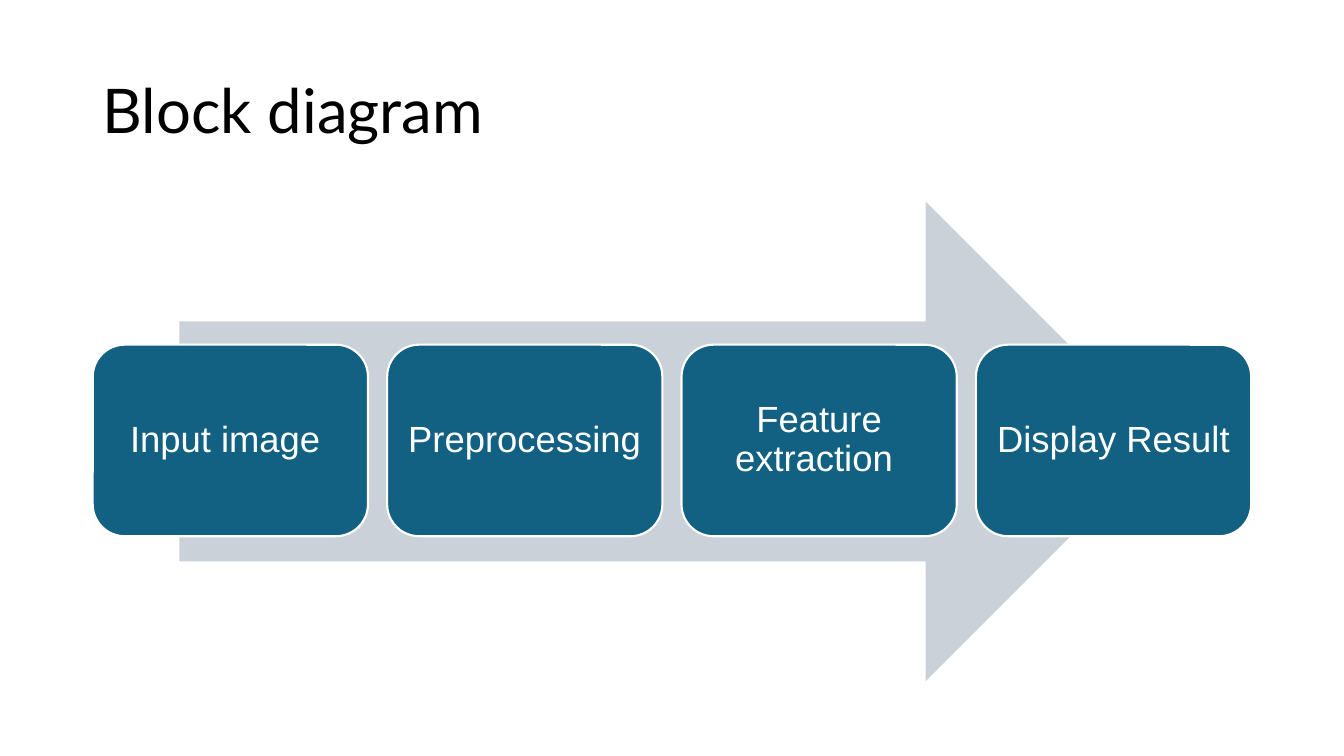
from pptx import Presentation
from pptx.dml.color import RGBColor
from pptx.enum.shapes import MSO_SHAPE
from pptx.enum.text import MSO_ANCHOR, PP_ALIGN
from pptx.util import Pt

RIGHT_ARROW = MSO_SHAPE.RIGHT_ARROW
ROUNDED_RECTANGLE = MSO_SHAPE.ROUNDED_RECTANGLE
MIDDLE = MSO_ANCHOR.MIDDLE
LEFT, CENTER = PP_ALIGN.LEFT, PP_ALIGN.CENTER

EMU_PER_PX = 9144
COLORS = {"title": "000000", "arrow": "CAD1D8", "block": "126082", "white": "FFFFFF"}
STEPS = ["Input image ", "Preprocessing ", "Feature extraction ", "Display Result"]
BLOCK_LEFT, BLOCK_TOP, BLOCK_WIDTH, BLOCK_HEIGHT, BLOCK_GAP = 92, 342, 273, 190, 19


def px(length):
    return length * EMU_PER_PX


def color(name):
    return RGBColor.from_string(COLORS[name])


def write_text(shape, text, *, font, size, ink, align, inset_x, inset_y):
    frame = shape.text_frame
    frame.word_wrap = True
    frame.vertical_anchor = MIDDLE
    frame.margin_left = frame.margin_right = px(inset_x)
    frame.margin_top = frame.margin_bottom = px(inset_y)
    paragraph = frame.paragraphs[0]
    paragraph.alignment = align
    paragraph.line_spacing = 0.9
    run = paragraph.add_run()
    run.text = text
    run.font.name = font
    run.font.size = Pt(size)
    run.font.color.rgb = color(ink)


def add_title(slide, text):
    box = slide.shapes.add_textbox(px(92), px(40), px(1150), px(145))
    write_text(box, text, font="Lato", size=44, ink="title", align=LEFT,
               inset_x=10, inset_y=5)


def add_filled_shape(slide, kind, left, top, width, height, fill):
    shape = slide.shapes.add_shape(kind, px(left), px(top), px(width), px(height))
    shape.shadow.inherit = False
    shape.fill.solid()
    shape.fill.fore_color.rgb = color(fill)
    shape.line.fill.background()
    return shape


def add_block(slide, left, text):
    block = add_filled_shape(slide, ROUNDED_RECTANGLE, left, BLOCK_TOP,
                             BLOCK_WIDTH, BLOCK_HEIGHT, "block")
    block.adjustments[0] = 0.167
    block.line.color.rgb = color("white")
    block.line.width = Pt(1.5)
    write_text(block, text, font="Arial", size=26, ink="white", align=CENTER,
               inset_x=11, inset_y=11)


def main():
    presentation = Presentation()
    presentation.slide_width = px(1333)
    presentation.slide_height = px(750)
    slide = presentation.slides.add_slide(presentation.slide_layouts[6])
    add_title(slide, "Block diagram")
    add_filled_shape(slide, RIGHT_ARROW, 178, 200, 978, 476, "arrow")
    for index, step in enumerate(STEPS):
        add_block(slide, BLOCK_LEFT + index * (BLOCK_WIDTH + BLOCK_GAP), step)
    presentation.save("out.pptx")


if __name__ == "__main__":
    main()
